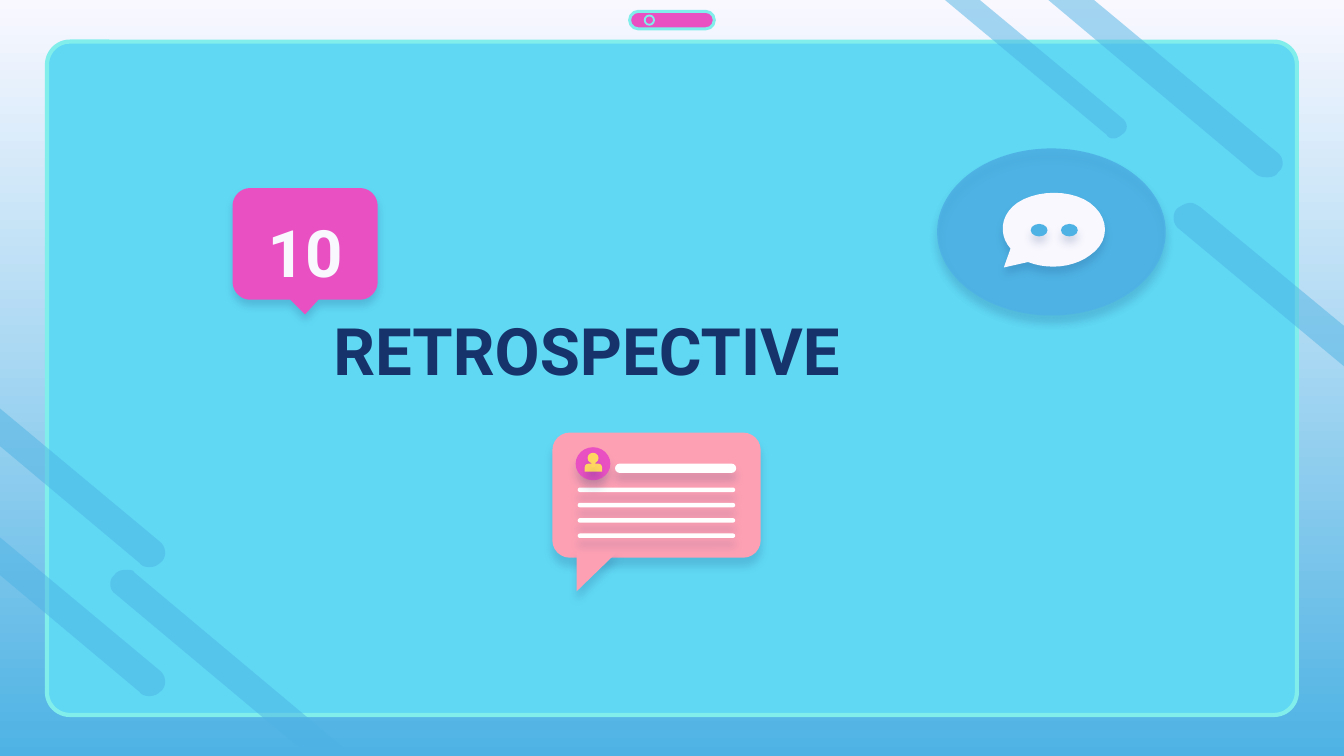
from lxml import etree
from pptx import Presentation
from pptx.dml.color import RGBColor
from pptx.enum.shapes import MSO_SHAPE
from pptx.enum.text import MSO_ANCHOR, MSO_AUTO_SIZE, PP_ALIGN
from pptx.oxml.ns import qn
from pptx.util import Pt

ROUND, OVAL, TOP_ROUND = (MSO_SHAPE.ROUNDED_RECTANGLE, MSO_SHAPE.OVAL,
                          MSO_SHAPE.ROUND_2_SAME_RECTANGLE)
MIDDLE, BOTTOM = MSO_ANCHOR.MIDDLE, MSO_ANCHOR.BOTTOM
LEFT, CENTER = PP_ALIGN.LEFT, PP_ALIGN.CENTER
C = {"sky": "60D8F4", "blue": "4EB3E4", "mint": "81EEEB", "magenta": "E951C2",
     "navy": "17336B", "paper": "F9F8FF", "pink": "FDA0B4", "white": "FFFFFF",
     "yellow": "FFD65F"}

TITLE, NUMBER = "RETROSPECTIVE", "10"

# Outlines in points: a pair is a corner, six numbers are a Bezier curve
LEFT_STRIPE = [(79.9, 303.8), (82.8, 303.8, 84.2, 303.1, 86.4, 301),
               (89.3, 298.8, 89.3, 293, 85.7, 290.2), (0, 218.8), (0, 239),
               (74.9, 301.7), (75.6, 303.1, 77.8, 303.8, 79.9, 303.8)]
LEFT_STRIPE_GAP = 69.1
STRIPES = [
    [(561.6, 0), (673.2, 93.6), (675.4, 95, 677.5, 95, 679, 95),
     (681.1, 95, 684, 94.3, 684.7, 92.2),
     (688.3, 90, 687.6, 84.2, 684.7, 82.1), (586.1, 0)],
    [(506.2, 0), (592.6, 72), (594, 74.2, 595.4, 74.2, 596.9, 74.2),
     (598.3, 74.2, 600.5, 72.7, 601.2, 72),
     (604.8, 69.8, 604.1, 65.5, 601.2, 63.4), (524.9, 0)],
    [(67.7, 305.3), (64.8, 305.3, 62.6, 306, 61.2, 308.2),
     (58.3, 310.3, 58.3, 316.1, 61.9, 318.2), (165.6, 405), (189.4, 405),
     (72, 306.7), (71.3, 305.3, 69.8, 305.3, 67.7, 305.3)],
    [(637.9, 108.7), (635, 108.7, 632.9, 110.2, 630.7, 111.6),
     (627.8, 114.5, 627.8, 120.2, 632.2, 123.1), (720, 196.2), (720, 174.6),
     (643, 110.9), (641.5, 110.2, 640.1, 108.7, 637.9, 108.7)],
]
CHAT_BUBBLE = [(583.9, 108.7), (573.8, 101.5, 555.8, 101.5, 545, 108.7),
               (535.7, 115.2, 535, 126, 541.4, 133.2), (537.8, 143.3),
               (550.8, 140.4), (561.6, 144.7, 575.3, 143.3, 583.9, 136.8),
               (594.7, 129.6, 594.7, 116.6, 583.9, 108.7)]
NUMBER_BUBBLE = [(133.9, 100.8), (128.9, 100.8, 124.6, 105.1, 124.6, 110.2),
                 (124.6, 151.2), (124.6, 156.2, 128.9, 160.6, 133.9, 160.6),
                 (155.5, 160.6), (163.4, 168.5), (170.6, 160.6), (193, 160.6),
                 (198, 160.6, 202.3, 156.2, 202.3, 151.2), (202.3, 110.2),
                 (202.3, 105.1, 198, 100.8, 193, 100.8)]
CARD_TAIL = [(308.9, 294.5), (308.9, 316.8), (331.2, 295.2)]

# Shadows: opacity %, blur, distance
CHAT_SHADOW, CARD_SHADOW, NUMBER_SHADOW = (17, 4.5, 3.8), (16, 4.5, 4.5), (19, 4.5, 3)

prs = Presentation()
prs.slide_width, prs.slide_height = Pt(720), Pt(405)
s = prs.slides.add_slide(prs.slide_layouts[5])


def rgb(name):
    return RGBColor.from_string(C[name])


def style(sp, fill=None, line=None, width=1, opacity=None, shadow=None):
    sp.shadow.inherit = False
    if fill:
        sp.fill.solid()
        sp.fill.fore_color.rgb = rgb(fill)
    else:
        sp.fill.background()
    if line:
        sp.line.color.rgb = rgb(line)
        sp.line.width = Pt(width)
    else:
        sp.line.fill.background()
    props = sp.element.spPr
    if opacity:
        color = props.find(qn("a:solidFill"))[0]
        etree.SubElement(color, qn("a:alpha"), val=str(opacity * 1000))
    if shadow:
        alpha, blur, dist = shadow
        outer = etree.SubElement(props.find(qn("a:effectLst")), qn("a:outerShdw"),
                                 blurRad=str(Pt(blur)), dist=str(Pt(dist)),
                                 dir="5400000", algn="bl", rotWithShape="0")
        color = etree.SubElement(outer, qn("a:srgbClr"), val=C["navy"])
        etree.SubElement(color, qn("a:alpha"), val=str(alpha * 1000))
    return sp


def preset(kind, x, y, w, h, radius=None, **look):
    sp = s.shapes.add_shape(kind, Pt(x), Pt(y), Pt(w), Pt(h))
    if radius is not None:
        sp.adjustments[0] = radius
    return style(sp, **look)


def outline(segments, dy=0, steps=10, **look):
    points = [segments[0]]
    for seg in segments[1:]:
        if len(seg) == 2:
            points.append(seg)
            continue
        knots = [points[-1], seg[:2], seg[2:4], seg[4:]]
        for i in range(1, steps + 1):
            t = i / steps
            weights = ((1 - t)**3, 3 * t * (1 - t)**2, 3 * t * t * (1 - t), t**3)
            points.append(tuple(sum(k * p[axis] for k, p in zip(weights, knots))
                                for axis in (0, 1)))
    points = [(Pt(x), Pt(y + dy)) for x, y in points]
    builder = s.shapes.build_freeform(*points[0])
    builder.add_line_segments(points[1:], close=True)
    return style(builder.convert_to_shape(), **look)


def write(sp, text, color, align, anchor, inset):
    tf = sp.text_frame
    frame = {"word_wrap": True, "auto_size": MSO_AUTO_SIZE.NONE, "vertical_anchor": anchor}
    frame.update({f"margin_{side}": Pt(inset) for side in ("left", "top", "right", "bottom")})
    for name, value in frame.items():
        setattr(tf, name, value)
    p = tf.paragraphs[0]
    p.alignment = align
    r = p.add_run()
    r.text = text
    for name, value in {"name": "Roboto", "size": Pt(35), "bold": True}.items():
        setattr(r.font, name, value)
    r.font.color.rgb = rgb(color)


# Background gradient
bg = s.background.fill
bg.gradient()
bg.gradient_angle = 270
for stop, name, position in zip(bg.gradient_stops, ("paper", "blue"), (0, 1)):
    stop.color.rgb = rgb(name)
    stop.position = position

# Panel with diagonal stripes
preset(ROUND, 25.2, 22.3, 669.6, 360.7, 0.034, fill="sky", line="mint", width=2.25)
for stripe in STRIPES:
    outline(stripe, fill="blue", opacity=50)
for i in range(2):
    outline(LEFT_STRIPE, dy=i * LEFT_STRIPE_GAP, fill="blue", opacity=50)

# Camera capsule
preset(ROUND, 337.3, 6.1, 45.4, 9.4, 0.5, fill="magenta", line="mint", width=1.6)
preset(OVAL, 345.4, 8.3, 5, 5, line="mint")

# Title, brought in front of the panel
title = s.shapes.title
title.left, title.top, title.width, title.height = Pt(178.6), Pt(174.2), Pt(398.2), Pt(33.8)
write(title, TITLE, "navy", LEFT, BOTTOM, 0)
title.element.getparent().append(title.element)

# Chat badge: disc, rim, bubble and eyes
disc = (502.4, 79.9, 121.7, 88.7)
preset(OVAL, *disc, fill="blue", shadow=CHAT_SHADOW)
preset(OVAL, *disc, line="blue", width=0.78, shadow=CHAT_SHADOW)
outline(CHAT_BUBBLE, fill="paper", shadow=CHAT_SHADOW)
for x in (552.2, 568.4):
    preset(OVAL, x, 120, 9, 6.7, fill="blue", shadow=CHAT_SHADOW)

# Message card with heading bar and text lines
preset(ROUND, 295.9, 231.8, 111.6, 67, 0.14, fill="pink", shadow=CARD_SHADOW)
outline(CARD_TAIL, fill="pink", shadow=CARD_SHADOW)
preset(ROUND, 329.5, 248.4, 64.9, 5, 0.5, fill="white", shadow=CARD_SHADOW)
for i in range(4):
    preset(ROUND, 309.5, 261.2 + i * 8.2, 84.4, 2.4, 0.5, fill="white", shadow=CARD_SHADOW)

# Avatar: disc, head, shoulders, neck
preset(OVAL, 308.4, 239.6, 18.6, 17.7, fill="magenta", shadow=CARD_SHADOW)
preset(OVAL, 314.8, 242.6, 5.9, 5.6, fill="yellow", shadow=CARD_SHADOW)
preset(TOP_ROUND, 313.2, 248.4, 9.4, 4.3, 0.5, fill="yellow", shadow=CARD_SHADOW)
preset(ROUND, 316.8, 246.2, 2.2, 4.3, 0.5, fill="yellow", shadow=CARD_SHADOW)

# Number bubble
bubble = outline(NUMBER_BUBBLE, fill="magenta", shadow=NUMBER_SHADOW)
write(bubble, NUMBER, "paper", CENTER, MIDDLE, 7.2)

prs.save("out.pptx")
